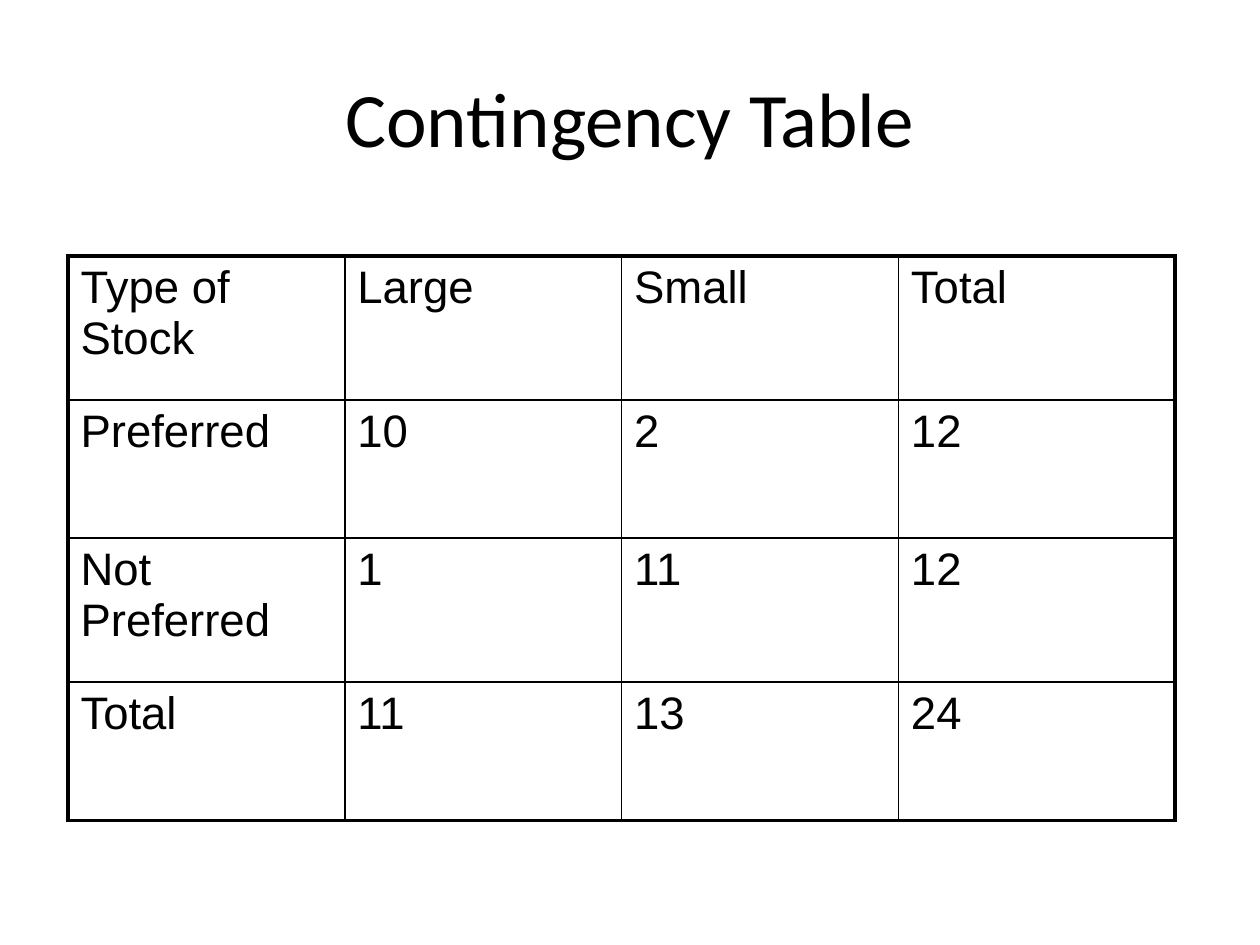
import pptx
import pptx.dml.color
import pptx.enum.text
import pptx.oxml
import pptx.oxml.ns
import pptx.util
from pptx.util import Cm


def color(value):
    return pptx.dml.color.RGBColor.from_string(value)


class SlideBuilder:
    """Holds the style and the current slide, and adds its elements."""

    ink = "000000"
    title_font, title_size = "Calibri", 44
    table_font, table_size = "Arial", 26
    outer_line, inner_line = 2.25, 1

    def __init__(self, slide):
        self.slide = slide

    def format_text(self, frame, font, size):
        for para in frame.paragraphs:
            for span in para.runs:
                span.font.name = font
                span.font.size = pptx.util.Pt(size)
                span.font.color.rgb = color(self.ink)

    def title(self, text, left, top, width, height):
        box = self.slide.shapes.add_textbox(left, top, width, height)
        frame = box.text_frame
        frame.word_wrap = True
        frame.vertical_anchor = pptx.enum.text.MSO_ANCHOR.MIDDLE
        frame.text = text
        frame.paragraphs[0].alignment = pptx.enum.text.PP_ALIGN.CENTER
        self.format_text(frame, self.title_font, self.title_size)

    def borders(self, cell, outer_sides):
        properties = cell._tc.get_or_add_tcPr()
        for index, side in enumerate(("L", "R", "T", "B")):
            points = self.outer_line if side in outer_sides else self.inner_line
            line = pptx.oxml.parse_xml(
                f'<a:ln{side} {pptx.oxml.ns.nsdecls("a")} w="{pptx.util.Pt(points)}">'
                f'<a:solidFill><a:srgbClr val="{self.ink}"/></a:solidFill></a:ln{side}>'
            )
            properties.insert(index, line)

    def table(self, rows, left, top, column_width, row_heights):
        row_count, column_count = len(rows), len(rows[0])
        table = self.slide.shapes.add_table(
            row_count, column_count, left, top,
            column_width * column_count, sum(row_heights),
        ).table
        table.first_row = False
        table.horz_banding = False
        for column in table.columns:
            column.width = column_width
        for row_index, (texts, height) in enumerate(zip(rows, row_heights)):
            table.rows[row_index].height = height
            for column_index, text in enumerate(texts):
                cell = table.cell(row_index, column_index)
                cell.text_frame.text = text
                self.format_text(cell.text_frame, self.table_font, self.table_size)
                cell.fill.background()
                edges = {
                    "L": column_index == 0,
                    "R": column_index == column_count - 1,
                    "T": row_index == 0,
                    "B": row_index == row_count - 1,
                }
                self.borders(cell, [side for side, outer in edges.items() if outer])


deck = pptx.Presentation()
deck.slide_width, deck.slide_height = Cm(25.4), Cm(19.05)
page = SlideBuilder(deck.slides.add_slide(deck.slide_layouts[6]))
page.title("Contingency Table", Cm(1.27), Cm(0.76), Cm(22.86), Cm(3.18))
page.table(
    [
        ["Type of Stock", "Large", "Small", "Total"],
        ["Preferred", "10", "2", "12"],
        ["Not Preferred", "1", "11", "12"],
        ["Total", "11", "13", "24"],
    ],
    Cm(1.37), Cm(5.16), Cm(5.58), [Cm(2.9), Cm(2.79)] * 2,
)
deck.save("out.pptx")
